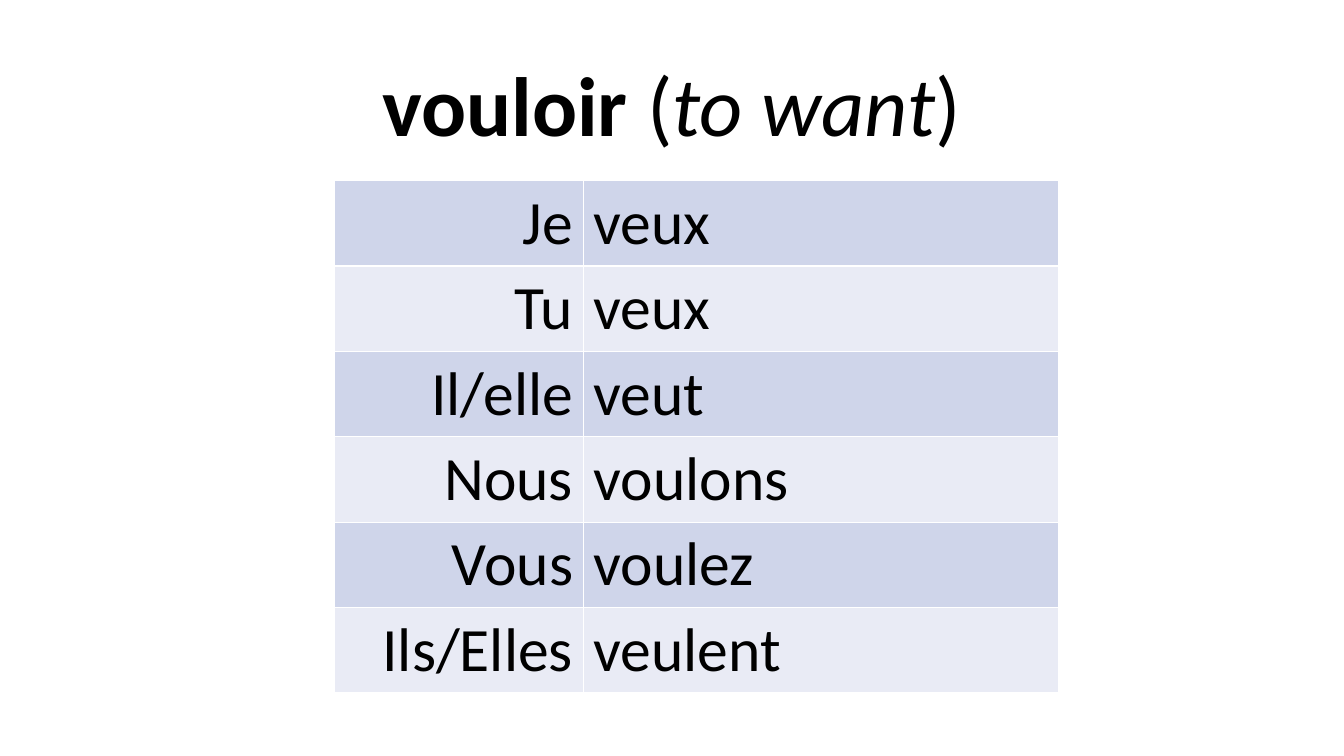
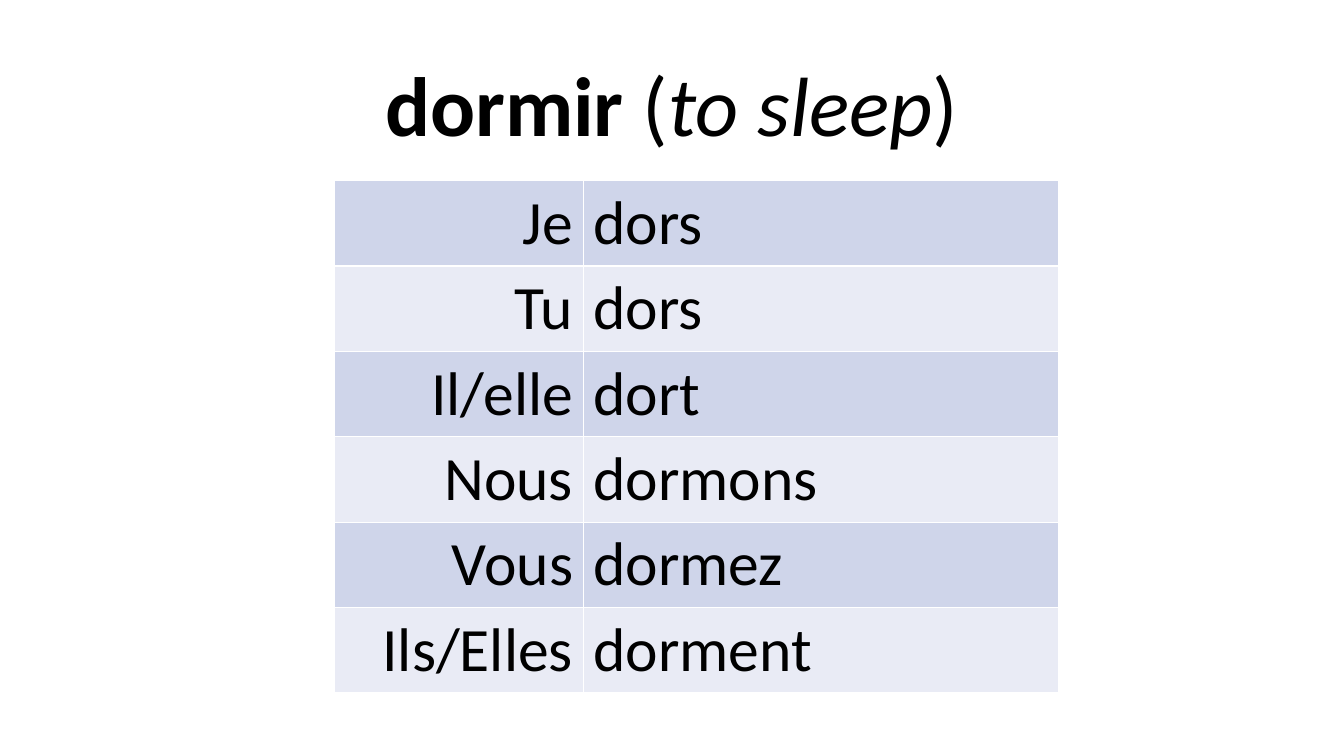
import pptx
import pptx.dml.color
import pptx.enum.text
import pptx.oxml
import pptx.oxml.ns
import pptx.util

Cm = pptx.util.Cm
Pt = pptx.util.Pt
RGBColor = pptx.dml.color.RGBColor
Align = pptx.enum.text.PP_ALIGN

BLACK = RGBColor(0x00, 0x00, 0x00)
WHITE = RGBColor(0xFF, 0xFF, 0xFF)
BANDS = (RGBColor(0xCF, 0xD5, 0xEA), RGBColor(0xE9, 0xEB, 0xF5))

PRONOUNS = ("Je", "Tu", "Il/elle", "Nous", "Vous", "Ils/Elles")
VERBS = (
    ("vouloir", "to want",
     ("veux", "veux", "veut", "voulons", "voulez", "veulent")),
    ("dormir", "to sleep",
     ("dors", "dors", "dort", "dormons", "dormez", "dorment")),
)


def apply(target, values):
    """Set every attribute named in values on target."""
    for name, value in values.items():
        setattr(target, name, value)


class VerbDeck:
    """Holds the deck, its style and the current page."""

    TITLE_BOX = dict(left=Cm(4.23), top=Cm(1.12), width=Cm(25.4), height=Cm(2.9))
    TITLE_FRAME = dict(word_wrap=True,
                       auto_size=pptx.enum.text.MSO_AUTO_SIZE.NONE,
                       vertical_anchor=pptx.enum.text.MSO_ANCHOR.BOTTOM)
    TABLE_LEFT, TABLE_TOP = Cm(8.43), Cm(4.55)
    COLUMN_WIDTHS = (Cm(6.27), Cm(11.99))
    COLUMN_ALIGNS = (Align.RIGHT, Align.LEFT)
    ROW_HEIGHT = Cm(2.15)

    def __init__(self):
        """Start an empty widescreen deck."""
        self.deck = pptx.Presentation()
        apply(self.deck, dict(slide_width=Cm(33.87), slide_height=Cm(19.05)))
        self.page = None

    def add_page(self):
        """Start a new white page with a title."""
        self.page = self.deck.slides.add_slide(self.deck.slide_layouts[5])
        fill = self.page.background.fill
        fill.solid()
        fill.fore_color.rgb = WHITE

    def add_span(self, para, text, size, **values):
        """Add one styled span to a paragraph."""
        span = para.add_run()
        span.text = text
        apply(span.font, dict(name="Calibri", size=Pt(size), **values))
        span.font.color.rgb = BLACK

    def add_title(self, verb, meaning):
        """Show the verb in bold and its meaning in italics."""
        box = self.page.shapes.title
        apply(box, self.TITLE_BOX)
        apply(box.text_frame, self.TITLE_FRAME)
        para = box.text_frame.paragraphs[0]
        apply(para, dict(alignment=Align.CENTER, line_spacing=0.9))
        for text, bold, italic in ((verb, True, False), (" (", False, False),
                                   (meaning, False, True), (")", False, False)):
            self.add_span(para, text, 60, bold=bold, italic=italic)

    def add_borders(self, cell):
        """Draw a thin white line on each side of a cell."""
        properties = cell._tc.get_or_add_tcPr()
        for index, side in enumerate("LRTB"):
            properties.insert(index, pptx.oxml.parse_xml(
                f'<a:ln{side} {pptx.oxml.ns.nsdecls("a")} w="{Pt(1)}"><a:solidFill>'
                f'<a:srgbClr val="{WHITE}"/></a:solidFill></a:ln{side}>'))

    def add_table(self, rows):
        """Add a banded table with one line per pronoun."""
        table = self.page.shapes.add_table(
            len(rows), len(self.COLUMN_WIDTHS), self.TABLE_LEFT, self.TABLE_TOP,
            sum(self.COLUMN_WIDTHS), self.ROW_HEIGHT * len(rows)).table
        apply(table, dict(first_row=False, horz_banding=True))
        for column, width in zip(table.columns, self.COLUMN_WIDTHS):
            column.width = width
        for row_index, texts in enumerate(rows):
            table.rows[row_index].height = self.ROW_HEIGHT
            for column_index, text in enumerate(texts):
                cell = table.cell(row_index, column_index)
                cell.fill.solid()
                cell.fill.fore_color.rgb = BANDS[row_index % len(BANDS)]
                self.add_borders(cell)
                para = cell.text_frame.paragraphs[0]
                para.alignment = self.COLUMN_ALIGNS[column_index]
                self.add_span(para, text, 44)


def main():
    """Build one page per verb and save the deck."""
    builder = VerbDeck()
    for verb, meaning, forms in VERBS:
        builder.add_page()
        builder.add_title(verb, meaning)
        builder.add_table(list(zip(PRONOUNS, forms)))
    builder.deck.save("out.pptx")


if __name__ == "__main__":
    main()
